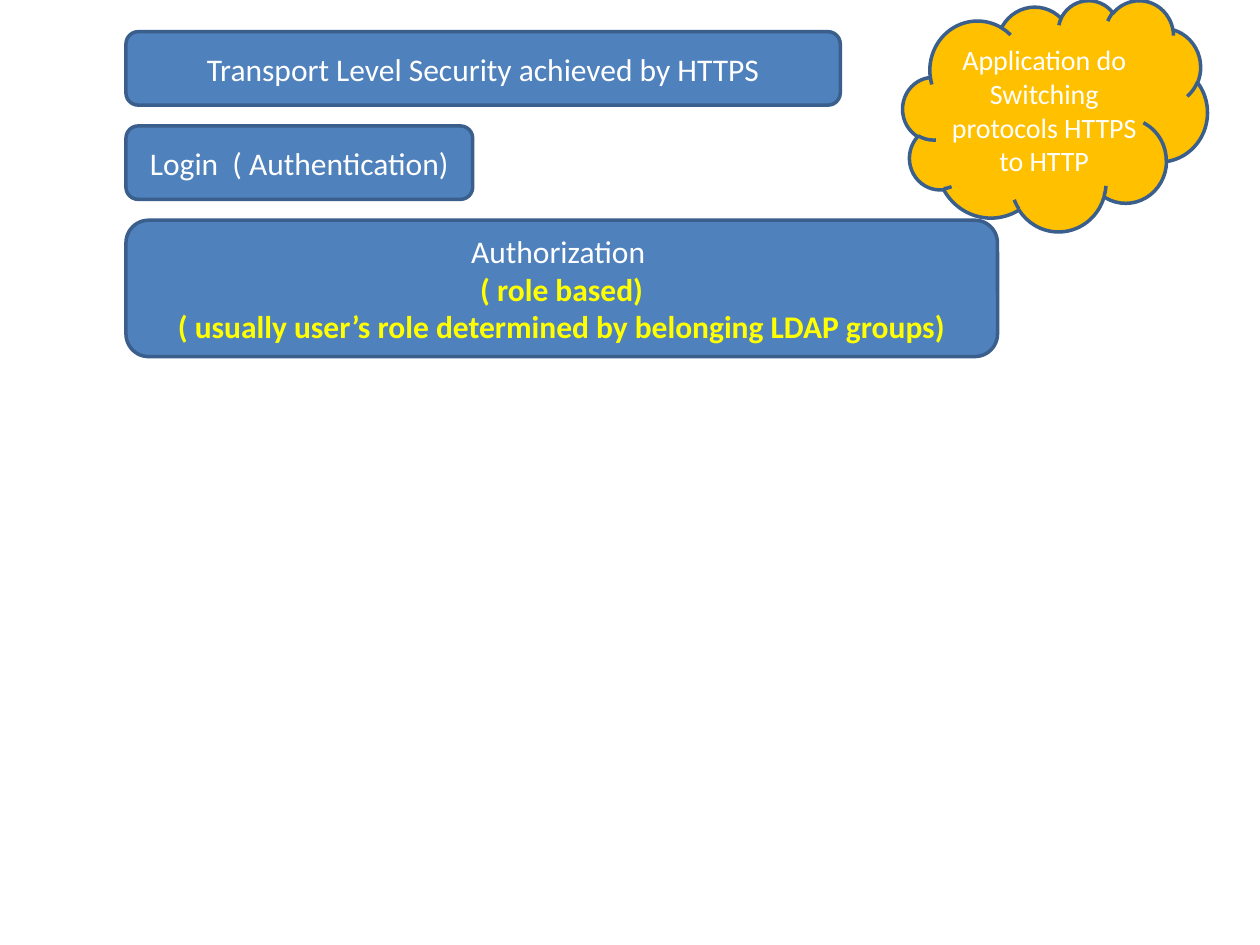
import pptx
import pptx.util
import pptx.dml.color
import pptx.enum.shapes
import pptx.enum.text

Cm = pptx.util.Cm
Pt = pptx.util.Pt
KIND = pptx.enum.shapes.MSO_SHAPE

WHITE, YELLOW, BLUE, GOLD, EDGE = "FFFFFF", "FFFF00", "4F81BD", "FFC000", "3A5F8C"
LEFT, TOP, GAP = 2.54, 0.64, 0.42

# Stacked layers: width, height, lines of (text, format)
LAYERS = [
    (14.4, 1.48, [("Transport Level Security achieved by HTTPS", {})]),
    (6.99, 1.48, [("Login  ( Authentication)", {})]),
    (17.57, 2.75, [
        ("Authorization ", {}),
        ("( role based)", {"color": YELLOW, "bold": True}),
        ("( usually user’s role determined by belonging LDAP groups)",
         {"color": YELLOW, "bold": True}),
    ]),
]
CLOUD = [("Application do Switching protocols HTTPS to HTTP", {"size": 16})]


def rgb(code):
    return pptx.dml.color.RGBColor.from_string(code)


def write(para, text, color=WHITE, bold=False, size=18):
    para.alignment = pptx.enum.text.PP_ALIGN.CENTER
    run = para.add_run()
    run.text = text
    font = run.font
    font.name, font.size, font.bold = "Calibri", Pt(size), bold
    font.color.rgb = rgb(color)


def draw(slide, kind, box, fill, lines, inset=0.25):
    """Add a filled, outlined shape with centred lines of text; box is in cm."""
    shape = slide.shapes.add_shape(kind, *map(Cm, box))
    shape.shadow.inherit = False
    shape.fill.solid()
    shape.fill.fore_color.rgb = rgb(fill)
    shape.line.color.rgb = rgb(EDGE)
    shape.line.width = Pt(2)
    frame = shape.text_frame
    frame.word_wrap = True
    frame.margin_left = frame.margin_right = Cm(inset)
    frame.vertical_anchor = pptx.enum.text.MSO_ANCHOR.MIDDLE
    for i, (text, style) in enumerate(lines):
        para = frame.add_paragraph() if i else frame.paragraphs[0]
        write(para, text, **style)


def main():
    deck = pptx.Presentation()
    deck.slide_width, deck.slide_height = Cm(25.4), Cm(19.05)
    slide = deck.slides.add_slide(deck.slide_layouts[6])
    top = TOP
    for width, height, lines in LAYERS:
        draw(slide, KIND.ROUNDED_RECTANGLE, (LEFT, top, width, height), BLUE, lines)
        top += height + GAP
    draw(slide, KIND.CLOUD, (18.2, 0, 6.14, 4.66), GOLD, CLOUD, inset=0)
    deck.save("out.pptx")


if __name__ == "__main__":
    main()
